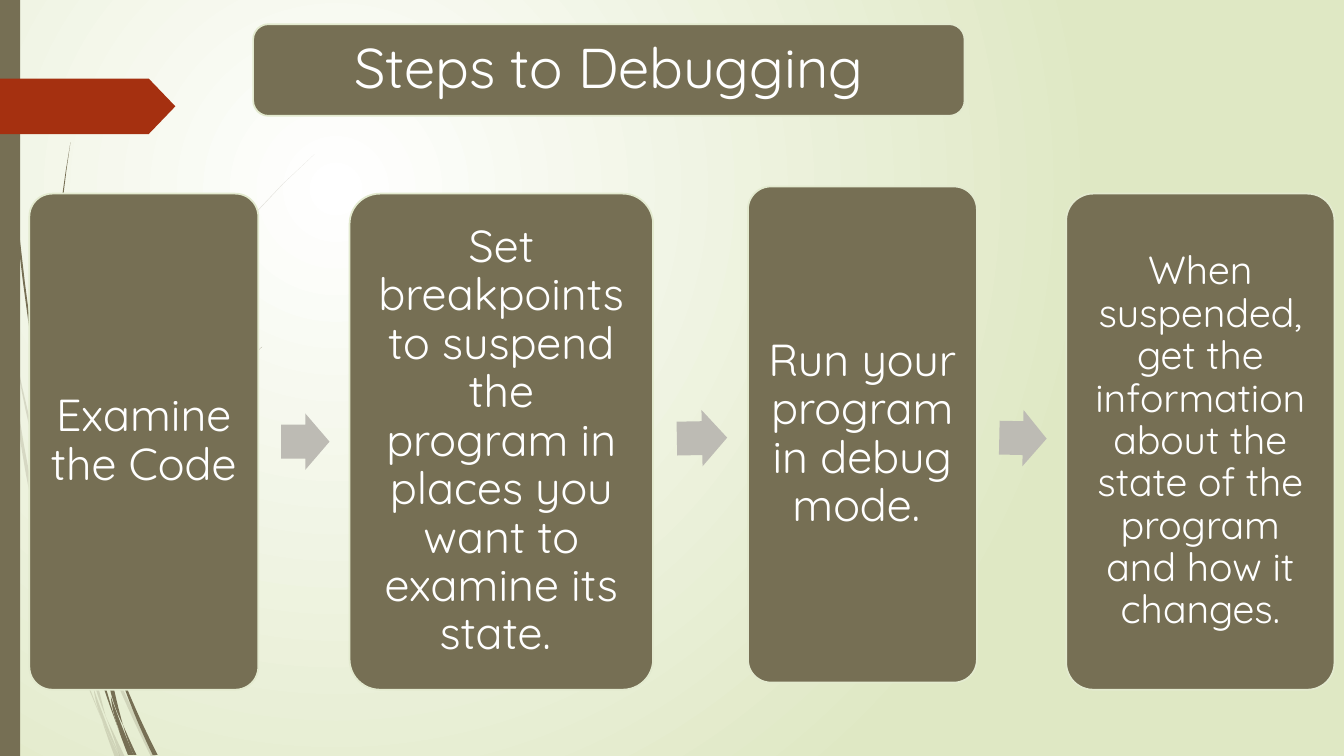
from math import atan2, degrees

from lxml.etree import SubElement as Sub
from pptx import Presentation
from pptx.dml.color import RGBColor as RGB
from pptx.enum.shapes import MSO_SHAPE as Geo
from pptx.enum.text import MSO_ANCHOR as Anchor, MSO_AUTO_SIZE as Fit, PP_ALIGN as Align
from pptx.oxml.ns import qn
from pptx.util import Cm, Pt

HUES = {"olive": "766F54", "edge": "E3EACF", "arrow": "BDBBB4", "red": "A53010",
        "text": "FFFFFF", "glow": "FFFFFF", "back": "DFE8C4"}


def paint(shape, fill, edge=None):
    shape.shadow.inherit = False
    shape.fill.solid()
    shape.fill.fore_color.rgb = RGB.from_string(HUES[fill])
    if edge:
        shape.line.color.rgb = RGB.from_string(HUES[edge])
        shape.line.width = Pt(1.25)
    else:
        shape.line.fill.background()


def write(shape, text, size, pad):
    frame = shape.text_frame
    frame.word_wrap = True
    frame.auto_size = Fit.NONE
    frame.vertical_anchor = Anchor.MIDDLE
    frame.margin_left = frame.margin_right = Cm(pad)
    frame.margin_top = frame.margin_bottom = Cm(pad)
    para = frame.paragraphs[0]
    para.alignment = Align.CENTER
    para.line_spacing = 0.9
    para.space_before = Pt(0)
    run = para.add_run()
    run.text = text
    run.font.name = "Quicksand"
    run.font.size = Pt(size)
    run.font.color.rgb = RGB.from_string(HUES["text"])


deck = Presentation()
deck.slide_width, deck.slide_height = Cm(33.87), Cm(19.05)
slide = deck.slides.add_slide(deck.slide_layouts[5])
shapes = slide.shapes

# Background: a round glow centred a quarter of the way in
back = slide.background.fill
back.gradient()
for stop, hue in zip(back.gradient_stops, ("glow", "back")):
    stop.color.rgb = RGB.from_string(HUES[hue])
lin = slide.element.find(".//" + qn("a:lin"))
grad = lin.getparent()
grad.remove(lin)
ring = Sub(grad, qn("a:path"), {"path": "circle"})
Sub(ring, qn("a:fillToRect"), {"l": "50000", "t": "50000", "r": "100000", "b": "100000"})

# Grass: each blade has a start, a middle and an end, given as (x, y, thickness)
UNIT = Cm(0.0254)  # a hundredth of an inch
STEPS = 12
pale = [
    [(0, 290, 3), (5, 320, 2), (11, 350, 0)],
    [(14, 345, 0), (42, 468, 3), (84, 593, 2)],
    [(88, 603, 1), (117, 676, 3), (152, 750, 5)],
    [(105, 711, 0), (113, 730, 2), (121, 750, 5)],
    [(11, 350, 0), (41, 532, 4), (101, 714, 0)],
    [(84, 599, 0), (90, 655, 4), (105, 711, 0)],
    [(86, 590, 3), (159, 348, 2), (312, 153, 0)],
    [(101, 714, 0), (108, 732, 2), (116, 750, 5)],
    [(93, 683, 0), (102, 712, 3), (119, 750, 0)],
]
dark = [
    [(4, 0, 1), (19, 240, 2), (57, 481, 0)],
    [(110, 641, 0), (130, 696, 3), (154, 749, 5)],
    [(57, 477, 0), (81, 600, 4), (117, 722, 0)],
    [(70, 141, 0), (53, 310, 2), (59, 472, 0)],
    [(122, 719, 0), (128, 735, 2), (134, 749, 3)],
    [(108, 636, 4), (157, 475, 2), (260, 344, 0)],
    [(117, 722, 0), (123, 736, 2), (129, 749, 4)],
    [(106, 645, 0), (111, 683, 4), (122, 719, 0)],
    [(110, 691, 0), (118, 718, 4), (131, 749, 3)],
]
for blades, alpha in ((pale, "20000"), (dark, "100000")):
    for knots in blades:
        left_side, right_side = [], []
        for step in range(STEPS + 1):
            # A parabola runs through all three knots
            t = step / STEPS
            pull = ((1 - t) * (1 - 2 * t), 4 * t * (1 - t), t * (2 * t - 1))
            x, y, thick = [UNIT * sum(p * k for p, k in zip(pull, axis))
                           for axis in zip(*knots)]
            half = max(thick, 0) / 2
            left_side.append((max(x - half, 0), y))
            right_side.append((x + half, y))
        rim = left_side + right_side[::-1]
        pen = shapes.build_freeform(*rim[0])
        pen.add_line_segments(rim[1:], close=True)
        blade = pen.convert_to_shape()
        paint(blade, "olive")
        tone = blade.element.spPr.find(qn("a:solidFill"))[0]
        Sub(tone, qn("a:alpha"), {"val": alpha})

# Side bar and red flag
bar = shapes.add_shape(Geo.RECTANGLE, 0, 0, Cm(0.51), deck.slide_height)
paint(bar, "olive")
flag = shapes.add_shape(Geo.PENTAGON, 0, Cm(1.98), Cm(4.42), Cm(1.4))
flag.adjustments[0] = 0.48
paint(flag, "red")

# Step cards: left, top, width, text size, text
TALL = 12.5
cards = [
    (0.74, 4.88, 5.77, 32, "Examine the Code"),
    (8.81, 4.88, 7.65, 32, "Set breakpoints to suspend the program in places you want "
                           "to examine its state. "),
    (18.85, 4.7, 5.77, 32, "Run your program in debug mode. "),
    (26.87, 4.88, 6.76, 28, "When suspended, get the information about the state of the "
                            "program and how it changes."),
]
for left, top, wide, size, text in cards:
    card = shapes.add_shape(Geo.ROUNDED_RECTANGLE, Cm(left), Cm(top), Cm(wide), Cm(TALL))
    card.adjustments[0] = 0.1
    paint(card, "olive", "edge")
    write(card, text, size, 0.05 * wide)

# Arrows: half as wide as the gap, aimed from card centre to card centre
HIGH = 1.42
for here, then in zip(cards, cards[1:]):
    (left, top, wide), (goal, rise, span) = here[:3], then[:3]
    edge = left + wide
    gap = goal - edge
    mid = (top + rise + TALL) / 2
    arrow = shapes.add_shape(Geo.RIGHT_ARROW, Cm(edge + 0.25 * gap), Cm(mid - HIGH / 2),
                             Cm(0.53 * gap), Cm(HIGH))
    arrow.adjustments[0] = 0.6
    arrow.adjustments[1] = 0.5
    arrow.rotation = degrees(atan2(rise - top, goal + span / 2 - left - wide / 2))
    paint(arrow, "arrow")

# Title on a rounded box
box = shapes.add_shape(Geo.ROUNDED_RECTANGLE, Cm(6.38), Cm(0.61), Cm(17.93), Cm(2.31))
paint(box, "olive", "edge")
title = shapes.title
title.left, title.top, title.width, title.height = box.left, box.top, box.width, box.height
write(title, "Steps to Debugging", 40, 0.43)
box.element.addnext(title.element)

deck.save("out.pptx")
